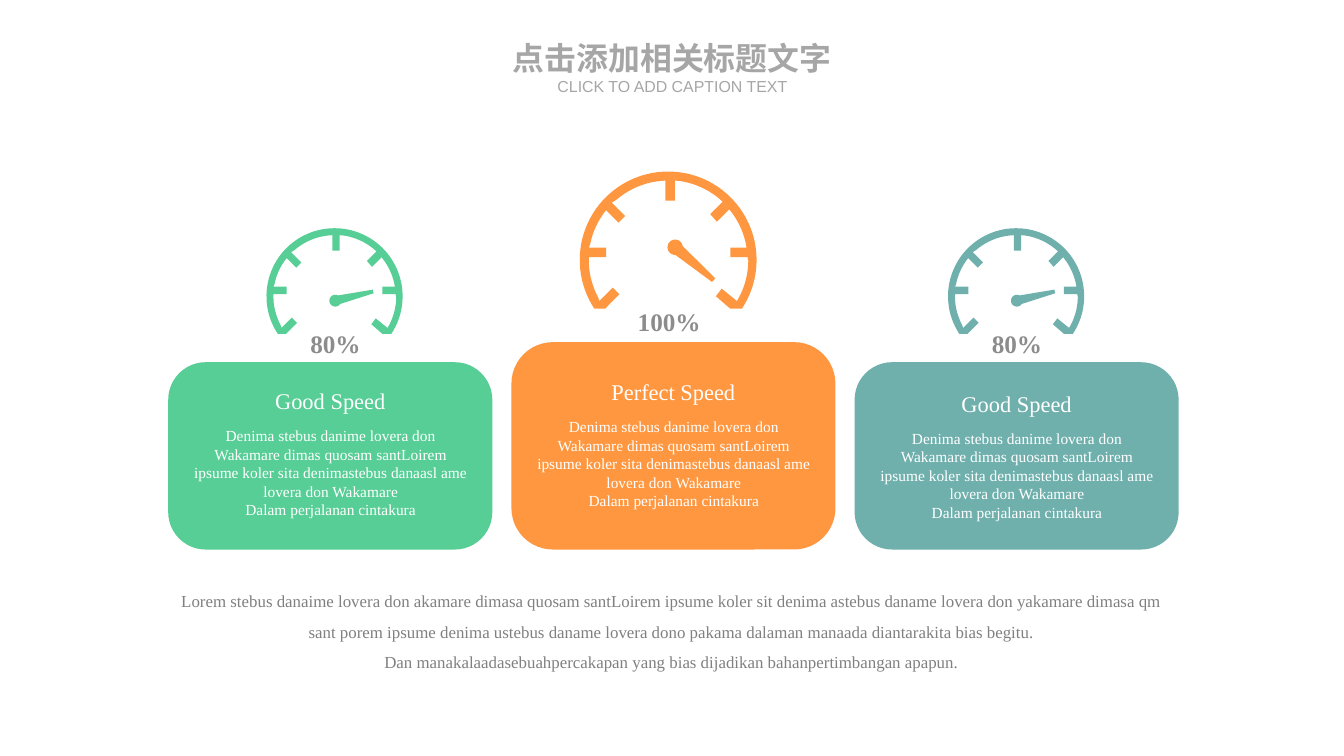
from dataclasses import dataclass
from math import atan2, cos, hypot, radians, remainder, sin, tau

from pptx import Presentation, util as u
from pptx.dml import color
from pptx.enum import shapes, text
from pptx.shapes import autoshape as auto, shapetree as tree

GREEN = color.RGBColor(0x57, 0xCE, 0x95)
ORANGE = color.RGBColor(0xFF, 0x97, 0x40)
TEAL = color.RGBColor(0x6F, 0xB0, 0xAD)
WHITE = color.RGBColor(0xFF, 0xFF, 0xFF)
GRAY = color.RGBColor(0x80, 0x80, 0x80)
LABEL = color.RGBColor(0x8C, 0x8C, 0x8C)
PALE = color.RGBColor(0xA6, 0xA6, 0xA6)
SERIF = "Times New Roman"
SANS = "Arial"
INSET = (0.11, 0.05)

Point = tuple[float, float]
Box = tuple[float, float, float, float]


@dataclass
class Card:
    head: str
    rate: str
    tint: color.RGBColor
    top: float
    head_y: float
    mid: Point
    scale: float
    turn: float = 0


CARDS = [
    Card("Good Speed", "80%", GREEN, 3.79, 4.02, (3.5, 3.1), 0.77),
    Card("Perfect Speed", "100%", ORANGE, 3.58, 3.93, (6.99, 2.72), 1, 54.1),
    Card("Good Speed", "80%", TEAL, 3.79, 4.05, (10.63, 3.1), 0.77),
]
BODY = [
    "Denima stebus danime lovera don Wakamare dimas quosam santLoirem "
    "ipsume koler sita denimastebus danaasl ame lovera don Wakamare",
    "Dalam perjalanan cintakura",
]
FOOTER = [
    "Lorem stebus danaime lovera don akamare dimasa quosam santLoirem ipsume "
    "koler sit denima astebus daname lovera don yakamare dimasa qm sant porem "
    "ipsume denima ustebus daname lovera dono pakama dalaman manaada "
    "diantarakita bias begitu.",
    "Dan manakalaadasebuahpercakapan yang bias dijadikan bahanpertimbangan apapun.",
]
TICKS: list[list[Point]] = [
    [(0.77, 0.51), (0.65, 0.51), (0.5, 0.38), (0.56, 0.3), (0.72, 0.43)],
    [(0.83, -0.03), (0.65, -0.03), (0.65, -0.13), (0.82, -0.13)],
    [(0.64, -0.53), (0.51, -0.4), (0.44, -0.48), (0.57, -0.61)],
    [(0.07, -0.83), (0.07, -0.62), (-0.03, -0.62), (-0.03, -0.83)],
    [(-0.59, -0.6), (-0.45, -0.46), (-0.52, -0.39), (-0.65, -0.52)],
    [(-0.83, -0.13), (-0.65, -0.13), (-0.65, -0.03), (-0.83, -0.03)],
    [(-0.72, 0.43), (-0.58, 0.29), (-0.51, 0.36), (-0.66, 0.51), (-0.77, 0.51)],
]


def arc(mid: Point, size: float, start: float, end: float, steps: int) -> list[Point]:
    turns = [start + (end - start) * i / steps for i in range(steps + 1)]
    return [(mid[0] + size * cos(a), mid[1] + size * sin(a)) for a in turns]


def bridge(one: Point, two: Point) -> list[Point]:
    start = atan2(one[1], one[0])
    span = remainder(atan2(two[1], two[0]) - start, tau)
    return arc((0, 0), hypot(*one), start, start + span, 12)[1:-1]


def dial() -> list[Point]:
    points = arc((0, 0), 0.925, radians(147), radians(393), 72)
    for tick, after in zip(TICKS, TICKS[1:]):
        points += tick + bridge(tick[-1], after[0])
    return points + TICKS[-1]


def needle() -> list[Point]:
    knob = arc((0.01, 0.06), 0.08, radians(34), radians(297), 30)
    return knob + [(0.52, -0.09), (0.53, -0.04)]


def paint(shape: auto.Shape, tint: color.RGBColor) -> None:
    shape.shadow.inherit = False
    shape.fill.solid()
    shape.fill.fore_color.rgb = tint
    shape.line.fill.background()


def trace(draw: tree.SlideShapes, points: list[Point], card: Card) -> auto.Shape:
    spots = [
        (u.Inches(card.mid[0] + card.scale * x), u.Inches(card.mid[1] + card.scale * y))
        for x, y in points
    ]
    pen = draw.build_freeform(*spots[0], scale=1.0)
    pen.add_line_segments(spots[1:], close=True)
    shape = pen.convert_to_shape()
    paint(shape, card.tint)
    return shape


def write(draw: tree.SlideShapes, lines: list[str], box: Box, *, size: float,
          tint: color.RGBColor, font: str = SERIF, bold: bool = False,
          inset: Point = (0.1, 0.05), middle: bool = False,
          space: float = 1) -> None:
    frame = draw.add_textbox(*map(u.Inches, box)).text_frame
    frame.word_wrap = True
    frame.margin_left = frame.margin_right = u.Inches(inset[0])
    frame.margin_top = frame.margin_bottom = u.Inches(inset[1])
    frame.vertical_anchor = text.MSO_ANCHOR.MIDDLE if middle else text.MSO_ANCHOR.TOP
    if not middle:
        frame.auto_size = text.MSO_AUTO_SIZE.SHAPE_TO_FIT_TEXT
    for i, line in enumerate(lines):
        para = frame.add_paragraph() if i else frame.paragraphs[0]
        para.alignment = text.PP_ALIGN.CENTER
        para.line_spacing = space
        run = para.add_run()
        run.text = line
        run.font.name = font
        run.font.size = u.Pt(size)
        run.font.bold = bold
        run.font.color.rgb = tint


def add_card(draw: tree.SlideShapes, card: Card, left: float) -> None:
    box = (left, card.top, 3.39, 5.75 - card.top)
    panel = draw.add_shape(shapes.MSO_SHAPE.ROUNDED_RECTANGLE, *map(u.Inches, box))
    panel.adjustments[0] = 0.2
    paint(panel, card.tint)
    write(draw, [card.head], (left, card.head_y, 3.39, 0.34), size=16.9,
          tint=WHITE, inset=INSET, middle=True)
    write(draw, BODY, (left + 0.14, card.head_y + 0.39, 3.12, 1.08), size=11.6,
          tint=WHITE)


def add_gauge(draw: tree.SlideShapes, card: Card) -> None:
    trace(draw, needle(), card).rotation = card.turn
    trace(draw, dial(), card)
    wide, high = 1.35 * card.scale, 0.44 * card.scale
    x, y = card.mid
    write(draw, [card.rate], (x + 0.01 - wide / 2, y + 0.42 * card.scale, wide, high),
          size=19, tint=LABEL, bold=True, inset=INSET, middle=True)


def main() -> None:
    deck = Presentation()
    deck.slide_width = u.Inches(14.06)
    deck.slide_height = u.Inches(7.91)
    draw = deck.slides.add_slide(deck.slide_layouts[6]).shapes
    for i, card in enumerate(CARDS):
        add_card(draw, card, 1.76 + 3.59 * i)
    write(draw, FOOTER, (1.75, 6.03, 10.55, 1.06), size=12.7, tint=GRAY, space=1.5)
    for card in CARDS:
        add_gauge(draw, card)
    write(draw, ["点击添加相关标题文字"], (5.27, 0.4, 3.52, 0.4), size=24,
          tint=PALE, font=SANS, bold=True, inset=(0, 0))
    write(draw, ["CLICK TO ADD CAPTION TEXT"], (5.59, 0.8, 2.89, 0.2), size=12,
          tint=PALE, font=SANS, inset=(0, 0))
    deck.save("out.pptx")


if __name__ == "__main__":
    main()
